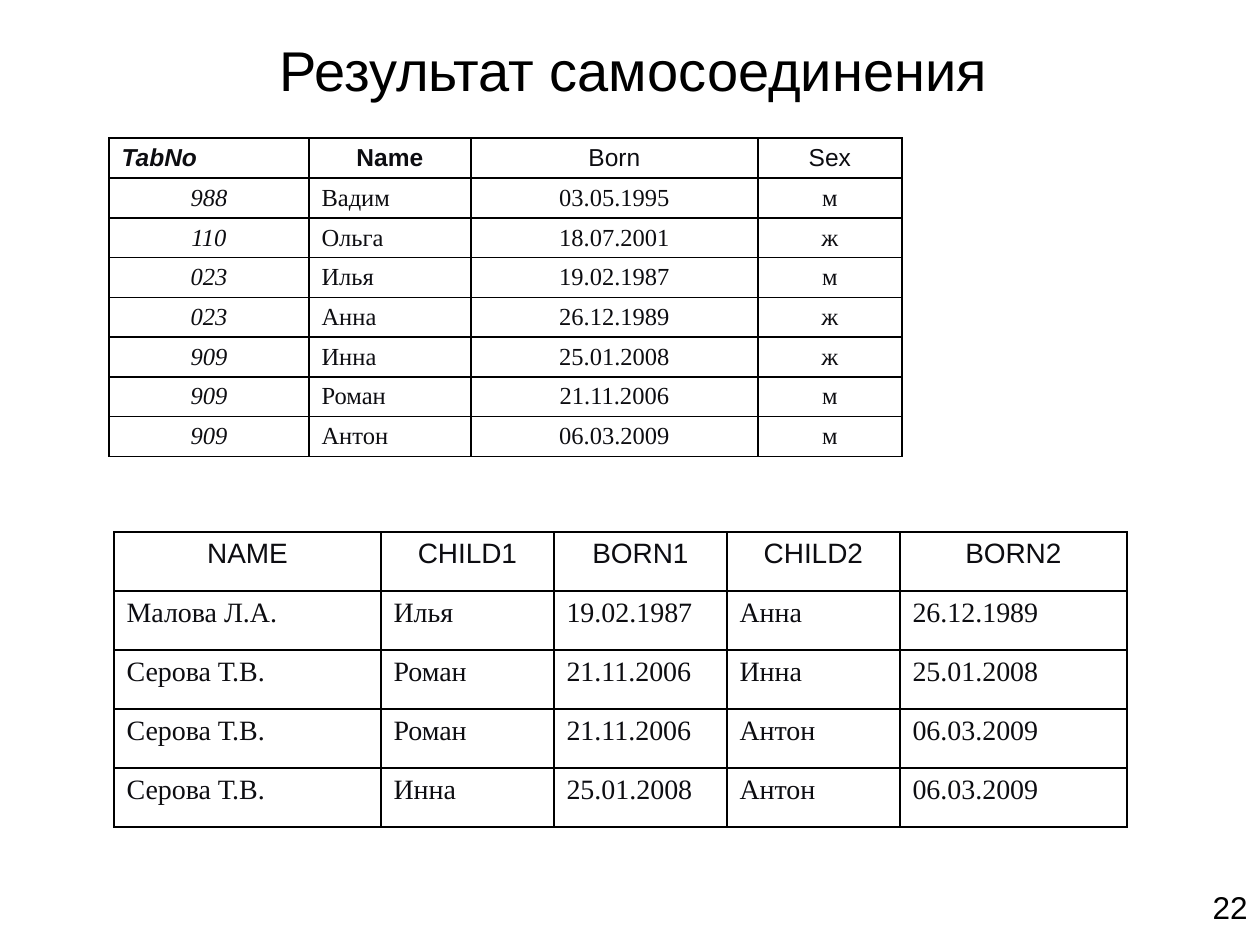
from lxml.etree import SubElement
from pptx import Presentation
from pptx.dml.color import RGBColor
from pptx.enum.text import MSO_ANCHOR, PP_ALIGN
from pptx.oxml.ns import qn
from pptx.util import Pt

PX = 914400 / 126
LEFT, CENTER, RIGHT = PP_ALIGN.LEFT, PP_ALIGN.CENTER, PP_ALIGN.RIGHT
BLACK, INK = "000000", "0D0D11"
HEADING, BODY = "Arial", "Times New Roman"


def px(length):
    return round(length * PX)


def write(frame, text, align, color, **font_format):
    paragraph = frame.paragraphs[0]
    paragraph.alignment = align
    run = paragraph.add_run()
    run.text = text
    for attribute, value in font_format.items():
        setattr(run.font, attribute, value)
    run.font.color.rgb = RGBColor.from_string(color)


deck = Presentation()
deck.slide_width, deck.slide_height = px(1260), px(945)
slide = deck.slides.add_slide(deck.slide_layouts[5])

title = slide.shapes.title
title_place = {"left": px(98), "top": px(20), "width": px(1071), "height": px(98)}
for attribute, value in title_place.items():
    setattr(title, attribute, value)
title.text_frame.vertical_anchor = MSO_ANCHOR.MIDDLE
write(title.text_frame, "Результат самосоединения", CENTER, BLACK,
      name=HEADING, size=Pt(32))

pairs = {
    "left": 114, "top": 532, "row_height": 59, "size": 16,
    "widths": [267, 173, 173, 173, 227],
    "header_aligns": [CENTER] * 5,
    "body_aligns": [LEFT] * 5,
    "header_styles": [{}] * 5,
    "body_styles": [{}] * 5,
    "rows": [
        ["NAME", "CHILD1", "BORN1", "CHILD2", "BORN2"],
        ["Малова Л.А.", "Илья", "19.02.1987", "Анна", "26.12.1989"],
        ["Серова Т.В.", "Роман", "21.11.2006", "Инна", "25.01.2008"],
        ["Серова Т.В.", "Роман", "21.11.2006", "Антон", "06.03.2009"],
        ["Серова Т.В.", "Инна", "25.01.2008", "Антон", "06.03.2009"],
    ],
}
children = {
    "left": 109, "top": 138, "row_height": 35, "size": 14,
    "widths": [200, 162, 287, 144],
    "header_aligns": [LEFT, CENTER, CENTER, CENTER],
    "body_aligns": [CENTER, LEFT, CENTER, CENTER],
    "header_styles": [{"bold": True, "italic": True}, {"bold": True}, {}, {}],
    "body_styles": [{"italic": True}, {}, {}, {}],
    "rows": [
        ["TabNo", "Name", "Born", "Sex"],
        ["988", "Вадим", "03.05.1995", "м"],
        ["110", "Ольга", "18.07.2001", "ж"],
        ["023", "Илья", "19.02.1987", "м"],
        ["023", "Анна", "26.12.1989", "ж"],
        ["909", "Инна", "25.01.2008", "ж"],
        ["909", "Роман", "21.11.2006", "м"],
        ["909", "Антон", "06.03.2009", "м"],
    ],
}

for relation in (pairs, children):
    rows, widths = relation["rows"], relation["widths"]
    grid = slide.shapes.add_table(
        len(rows), len(widths), px(relation["left"]), px(relation["top"]),
        px(sum(widths)), px(relation["row_height"] * len(rows))).table
    grid.first_row = grid.horz_banding = False
    for column, width in zip(grid.columns, widths):
        column.width = px(width)
    for r, record in enumerate(rows):
        grid.rows[r].height = px(relation["row_height"])
        part = "body" if r else "header"
        for c, value in enumerate(record):
            cell = grid.cell(r, c)
            write(cell.text_frame, value, relation[part + "_aligns"][c], INK,
                  name=BODY if r else HEADING, size=Pt(relation["size"]),
                  **{"bold": False, "italic": False, **relation[part + "_styles"][c]})
            properties = cell._tc.get_or_add_tcPr()
            for side in ("a:lnL", "a:lnR", "a:lnT", "a:lnB"):
                border = SubElement(properties, qn(side), w=str(Pt(1)))
                ink = SubElement(border, qn("a:solidFill"))
                SubElement(ink, qn("a:srgbClr"), val=BLACK)
            cell.fill.background()

page_number = slide.shapes.add_textbox(px(1162), px(882), px(98), px(63)).text_frame
page_number.word_wrap = True
write(page_number, "22", RIGHT, BLACK, name=HEADING, size=Pt(18))

deck.save("out.pptx")
